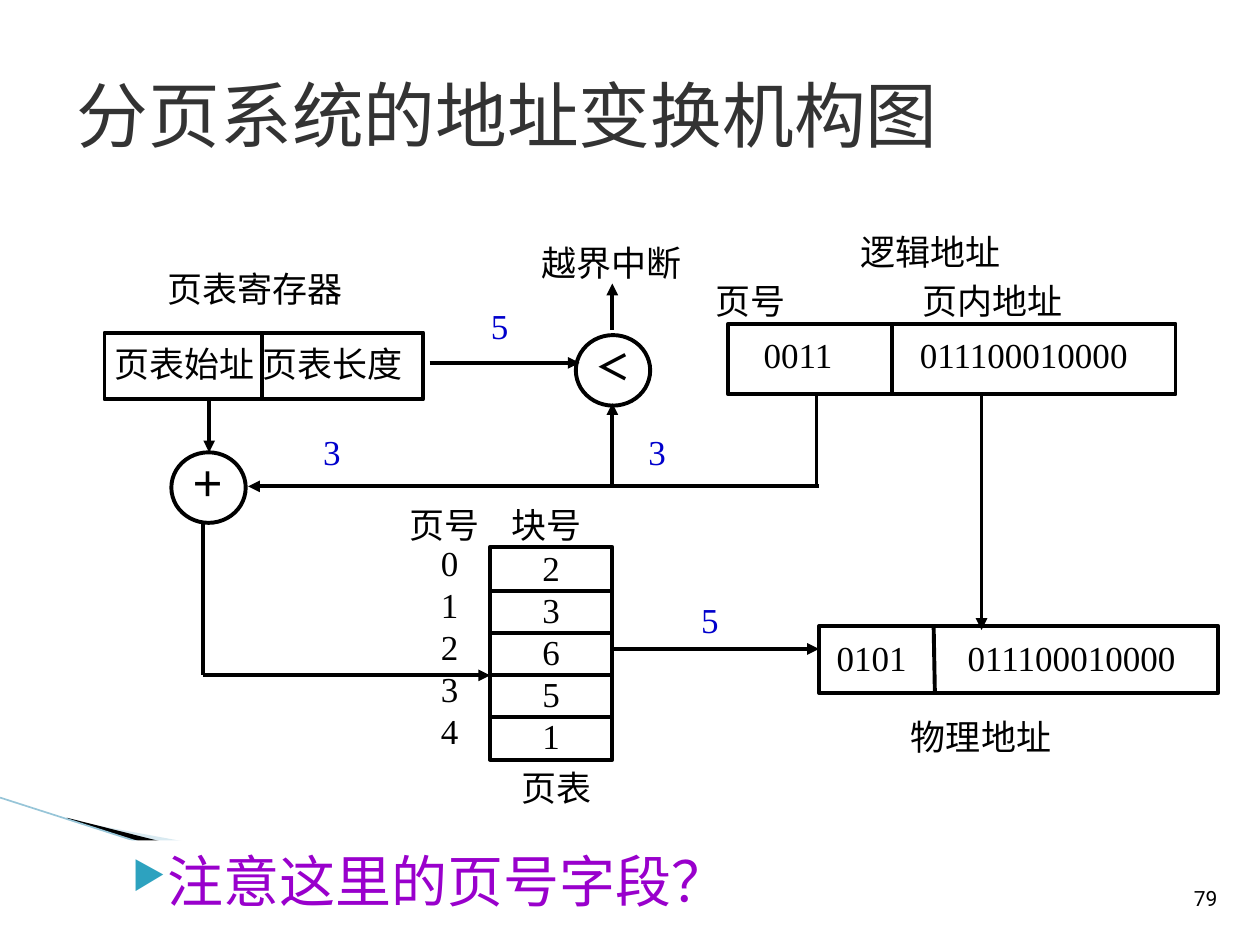
from lxml.etree import SubElement
from pptx import Presentation
from pptx.dml.color import RGBColor
from pptx.enum.shapes import MSO_CONNECTOR, MSO_SHAPE
from pptx.enum.text import MSO_ANCHOR, MSO_AUTO_SIZE, PP_ALIGN
from pptx.oxml.ns import qn
from pptx.util import Inches, Pt

BLACK = RGBColor(0x00, 0x00, 0x00)
WHITE = RGBColor(0xFF, 0xFF, 0xFF)
GREY = RGBColor(0x33, 0x33, 0x33)
BLUE = RGBColor(0x00, 0x00, 0xCC)
PURPLE = RGBColor(0x99, 0x00, 0xCC)
TEAL = RGBColor(0x2D, 0xA2, 0xBF)
PALE = RGBColor(0xA0, 0xCB, 0xDC)
SKY = RGBColor(0x97, 0xC5, 0xD8)

COLS, ROWS = 100, 75
CELL = Inches(10) // COLS
BASE = {"name": "Times New Roman", "size": Pt(20)}
FLUSH = (0, 0, 0, 0)
INSET = (0.08, 0.08, 0, 0)
LOOSE = (0.1, 0.05, 0.1, 0.05)
SIDES = ("margin_left", "margin_top", "margin_right", "margin_bottom")


def grid(*nums):
    return [round(num * CELL) for num in nums]


def apply(item, form):
    for key, value in form.items():
        setattr(item, key, value)


def write(shape, text, ink=BLACK, align=PP_ALIGN.JUSTIFY, inset=FLUSH,
          tab=None, wrap=True, anchor=MSO_ANCHOR.TOP, **font):
    frame = shape.text_frame
    apply(frame, {"word_wrap": wrap, "vertical_anchor": anchor,
                  "auto_size": MSO_AUTO_SIZE.NONE})
    apply(frame, {side: Inches(size) for side, size in zip(SIDES, inset)})
    rows = text.split("\n")
    for num, row in enumerate(rows):
        para = frame.add_paragraph() if num else frame.paragraphs[0]
        para.alignment = align
        if len(rows) > 1:
            para.line_spacing = Pt(24)
        if tab:
            stops = SubElement(para._p.get_or_add_pPr(), qn("a:tabLst"))
            SubElement(stops, qn("a:tab"), pos=str(Inches(tab)), algn="l")
        run = para.add_run()
        run.text = row
        apply(run.font, {**BASE, **font})
        run.font.color.rgb = ink


def label(slide, place, text, **form):
    write(slide.shapes.add_textbox(*grid(*place)), text, **form)


def block(slide, kind, place, text, edge=True, **form):
    shape = slide.shapes.add_shape(kind, *grid(*place))
    shape.shadow.inherit = False
    shape.fill.solid()
    shape.fill.fore_color.rgb = WHITE
    if edge:
        shape.line.color.rgb = BLACK
        shape.line.width = Pt(2.25)
    else:
        shape.line.fill.background()
    write(shape, text, **form)
    return shape


def line(slide, ends, head=False, ink=BLACK, width=2.25):
    link = slide.shapes.add_connector(MSO_CONNECTOR.STRAIGHT, *grid(*ends))
    link.line.color.rgb = ink
    link.line.width = Pt(width)
    if head:
        SubElement(link.line._get_or_add_ln(), qn("a:tailEnd"), type="triangle")
    SubElement(link._element.spPr, qn("a:effectLst"))


def wedge(slide, dots, ink, alpha=None):
    first, *rest = [grid(*dot) for dot in dots]
    maker = slide.shapes.build_freeform(*first)
    maker.add_line_segments(rest, close=True)
    shape = maker.convert_to_shape()
    shape.shadow.inherit = False
    shape.fill.solid()
    shape.fill.fore_color.rgb = ink
    shape.line.fill.background()
    if alpha:
        color = shape._element.spPr.find(".//" + qn("a:srgbClr"))
        SubElement(color, qn("a:alpha"), val=str(alpha * 1000))


def bullet(shape):
    props = shape.text_frame.paragraphs[0]._p.get_or_add_pPr()
    props.set("marL", str(Inches(0.4)))
    props.set("indent", str(Inches(-0.28)))
    tint = SubElement(props, qn("a:buClr"))
    SubElement(tint, qn("a:srgbClr"), val=str(TEAL))
    SubElement(props, qn("a:buSzPct"), val="68000")
    SubElement(props, qn("a:buChar"), char="▶")


def decor(slide):
    wedge(slide, [(5.5, 65.1), (59.5, 75.1), (45.6, 75.1), (5.5, 65)], PALE, 40)
    wedge(slide, [(5.3, 64.9), (45.7, 75.1), (37.2, 75.2), (5.4, 65)], BLACK)
    line(slide, (0, 63.3, 37.1, 75.2), ink=SKY, width=0.95)
    label(slide, (93.7, 69.8, 4, 3), "79", align=PP_ALIGN.CENTER, inset=LOOSE,
          wrap=False, anchor=MSO_ANCHOR.MIDDLE, name="Roboto", size=Pt(12))


def heading(slide):
    title = slide.shapes.title
    apply(title, dict(zip(("left", "top", "width", "height"),
                          grid(5.1, 2.8, 90, 12.5))))
    write(title, "分页系统的地址变换机构图", ink=GREY, align=PP_ALIGN.LEFT,
          inset=LOOSE, anchor=MSO_ANCHOR.MIDDLE,
          name="Noto Sans CJK SC", size=Pt(41))
    note = block(slide, MSO_SHAPE.RECTANGLE, (8.3, 66.7, 85, 8.3),
                 "注意这里的页号字段？", edge=False, ink=PURPLE,
                 align=PP_ALIGN.LEFT, inset=LOOSE, size=Pt(32))
    bullet(note)


def boxes(slide):
    for place, text, form in (
        ((8.3, 26.4, 25.3, 5.3), "页表始址 页表长度", {"inset": INSET}),
        ((57.8, 25.7, 35.5, 5.6), "0011\t011100010000",
         {"inset": (0.28, 0.08, 0, 0), "tab": 1.24}),
        ((65, 49.7, 31.7, 5.3), "0101\t011100010000",
         {"inset": (0.14, 0.08, 0, 0), "tab": 1.04}),
        ((38.9, 43.4, 9.7, 16.9), "2\n3\n6\n5\n1", {"align": PP_ALIGN.CENTER}),
    ):
        block(slide, MSO_SHAPE.RECTANGLE, place, text, **form)
    for left, top, sign in ((45.7, 26.6, "＜"), (13.6, 35.9, "＋")):
        block(slide, MSO_SHAPE.OVAL, (left, top, 5.9, 5.6), sign,
              align=PP_ALIGN.CENTER, bold=True)


def labels(slide):
    for place, text, form in (
        ((13.3, 21.2, 15.7, 4), "页表寄存器", {}),
        ((43, 19.2, 13.4, 4.6), "越界中断", {}),
        ((68.3, 18.3, 12, 4.4), "逻辑地址", {}),
        ((32.5, 40, 17, 3.6), "页号\t块号", {"tab": 0.81}),
        ((35, 43, 4.3, 16.9), "0\n1\n2\n3\n4", {}),
        ((72.3, 56.8, 12.7, 4.3), "物理地址", {}),
        ((41.4, 60.8, 6.1, 3.7), "页表", {}),
        ((55.8, 21.7, 12.6, 4.3), "页号", {"inset": LOOSE, "wrap": False}),
        ((72.2, 21.7, 13.1, 4.3), "页内地址", {"inset": LOOSE, "wrap": False}),
    ):
        label(slide, place, text, **form)
    for left, top, text in ((50, 34.2, "3"), (37.5, 24.2, "5"),
                            (24.2, 34.2, "3"), (54.2, 47.5, "5")):
        label(slide, (left, top, 4.3, 4.2), text, ink=BLUE,
              align=PP_ALIGN.CENTER)


def lines(slide):
    for num in range(4):
        top = 46.9 + num * 10 / 3
        line(slide, (38.9, top, 48.6, top))
    for ends in ((20.8, 26.4, 20.8, 31.8), (70.8, 25.7, 70.8, 31.2),
                 (74.1, 49.7, 74.2, 55), (64.8, 31.4, 64.8, 38.5),
                 (16.1, 41.4, 16.1, 53.6)):
        line(slide, ends)
    for ends in ((16.1, 53.6, 38.9, 53.6), (48.6, 26.2, 48.6, 22.5),
                 (16.6, 31.8, 16.6, 35.9), (65, 38.6, 19.7, 38.6),
                 (48.6, 38.4, 48.6, 32), (48.6, 51.5, 65, 51.5),
                 (77.9, 31.4, 77.9, 50), (34.1, 28.8, 46, 28.8)):
        line(slide, ends, head=True)


def main():
    deck = Presentation()
    deck.slide_width, deck.slide_height = grid(COLS, ROWS)
    slide = deck.slides.add_slide(deck.slide_layouts[5])
    decor(slide)
    heading(slide)
    boxes(slide)
    labels(slide)
    lines(slide)
    deck.save("out.pptx")


if __name__ == "__main__":
    main()
